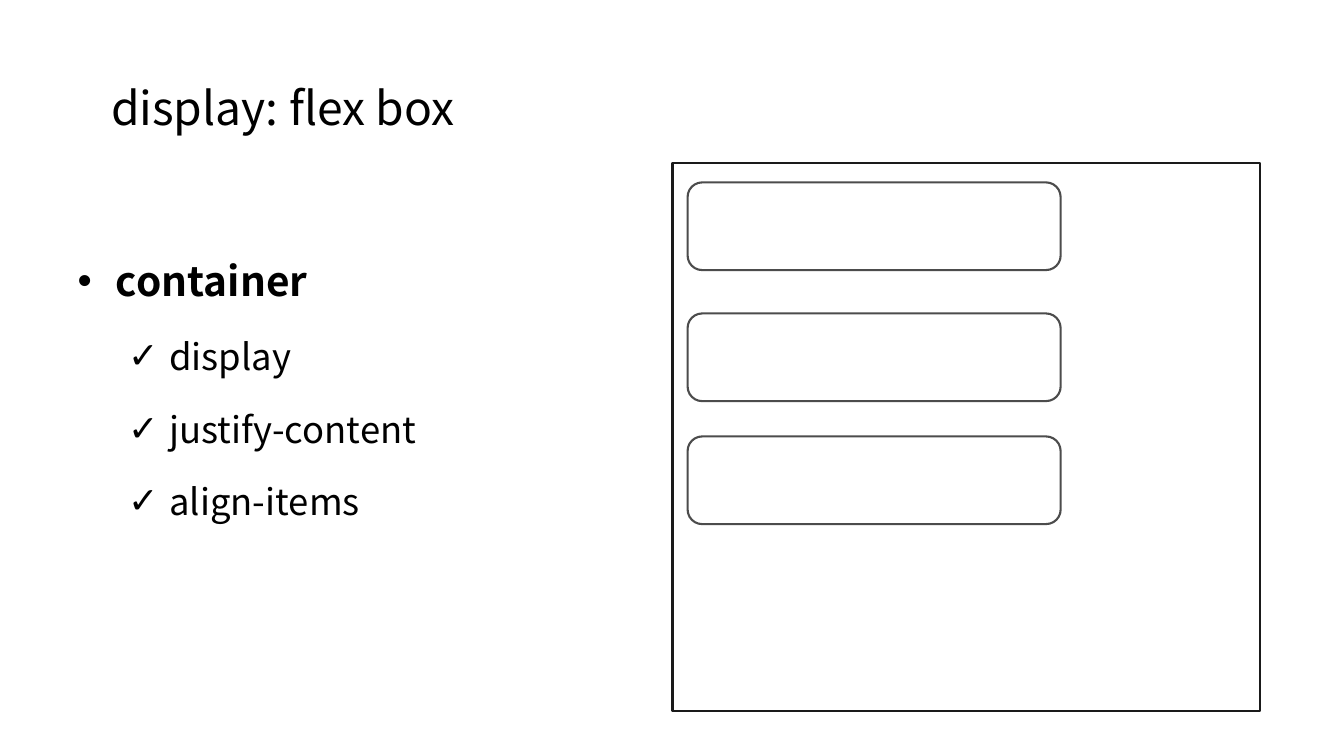
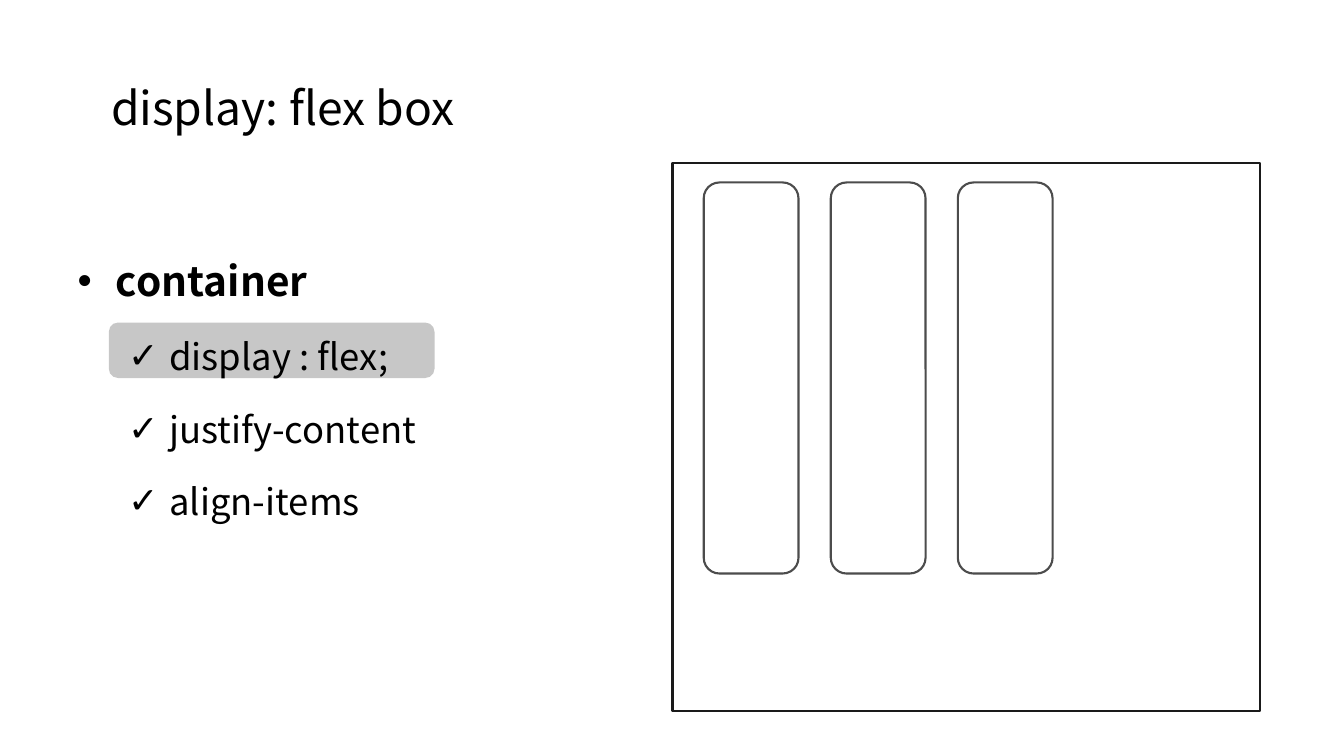
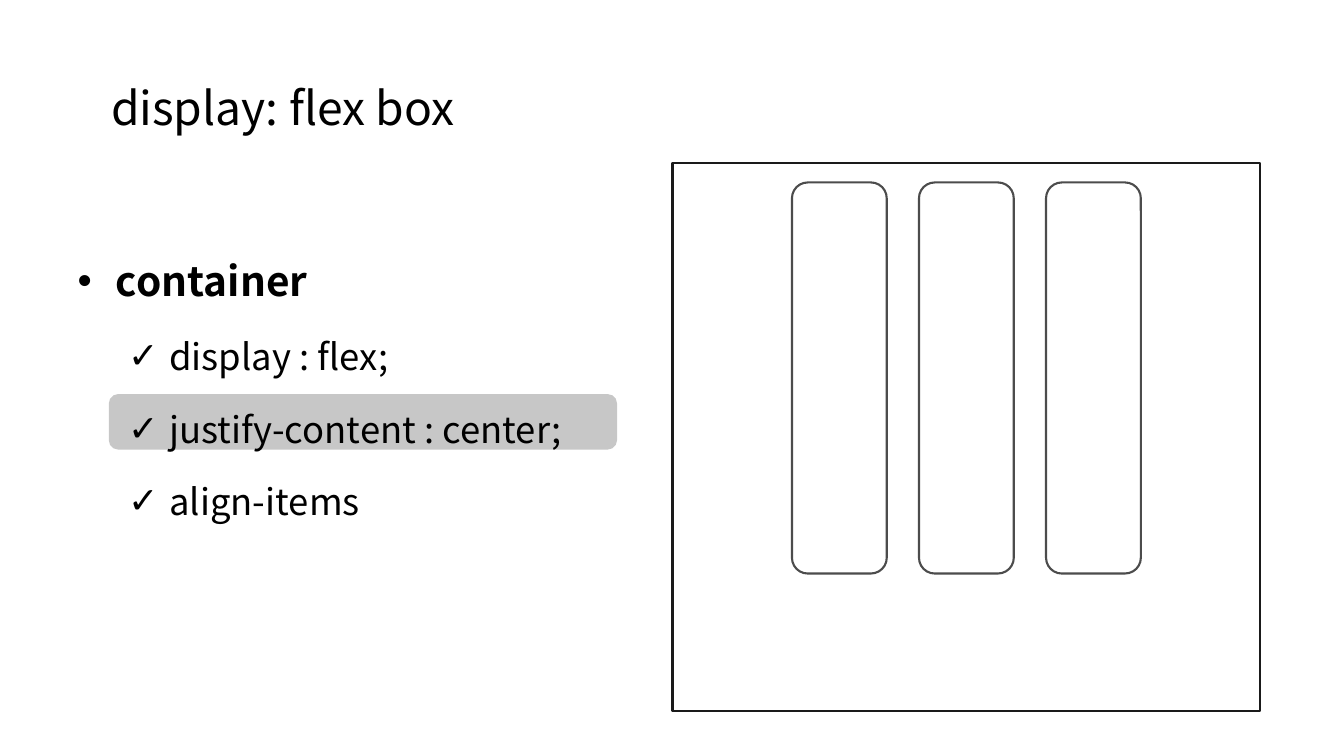
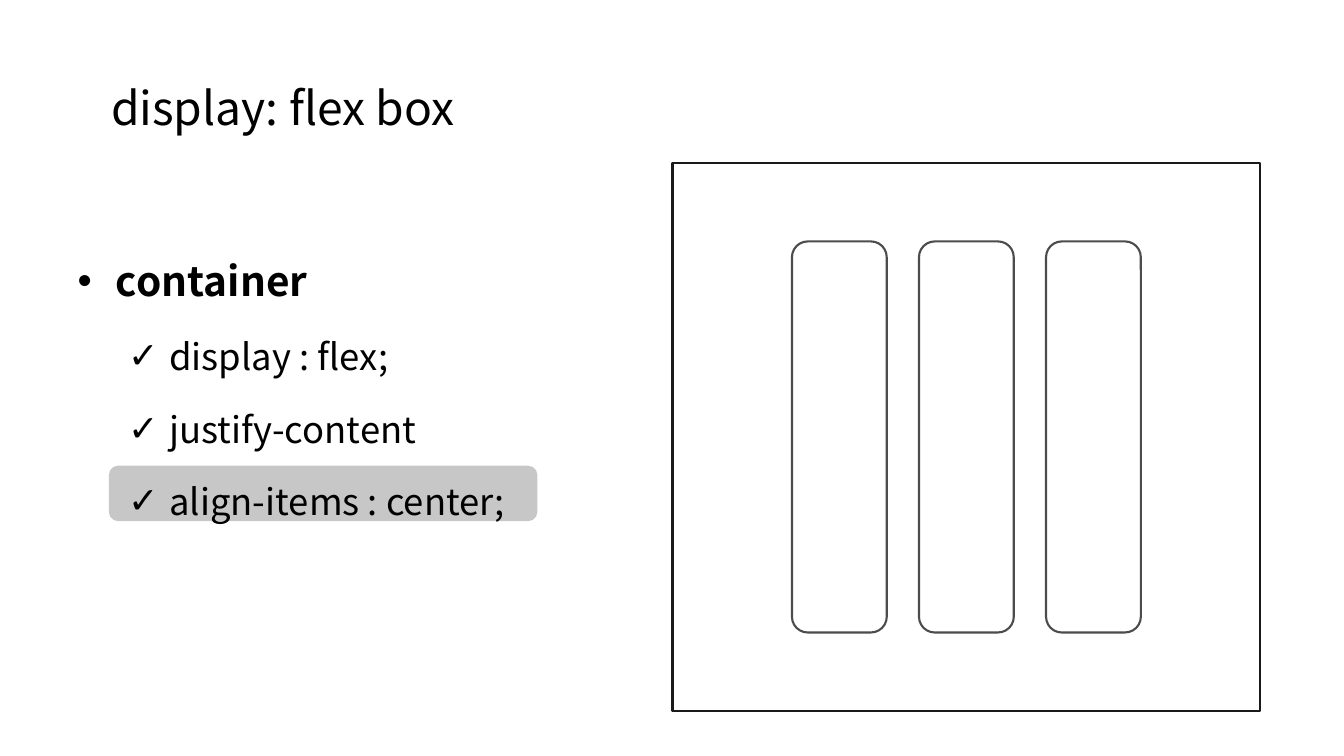
from lxml.etree import SubElement
from pptx import Presentation
from pptx.dml.color import RGBColor
from pptx.enum.shapes import MSO_SHAPE as SHAPE
from pptx.enum.text import MSO_AUTO_SIZE as AUTO_SIZE, PP_ALIGN as ALIGN
from pptx.oxml.ns import qn
from pptx.util import Inches, Pt

COLORS = {"text": "000000", "container": "1A1A1A", "item": "4C4C4C", "highlight": "808080"}
FONT = "Noto Sans CJK KR"

# Flex container and its items, in inches
BOX_LEFT, BOX_TOP, BOX_WIDTH, BOX_HEIGHT = 6.67, 1.62, 5.83, 5.43
ITEM_WIDTH, ITEM_HEIGHT, ITEM_STEP = 0.94, 3.88, 1.26
START_LEFT, START_TOP = 6.98, 1.81
CENTER_LEFT = BOX_LEFT + (BOX_WIDTH - ITEM_WIDTH - 2 * ITEM_STEP) / 2
CENTER_TOP = BOX_TOP + (BOX_HEIGHT - ITEM_HEIGHT) / 2


def columns(left, top):
    """Return the places of three items side by side."""
    return [(left + i * ITEM_STEP, top, ITEM_WIDTH, ITEM_HEIGHT) for i in range(3)]


def add_run(paragraph, text, size, bold=False):
    run = paragraph.add_run()
    run.text = text
    run.font.name = FONT
    run.font.size = Pt(size)
    run.font.bold = bold
    run.font.color.rgb = RGBColor.from_string(COLORS["text"])


# Properties, list width, highlighted row and its width, item places
STEPS = [
    (["display", "justify-content", "align-items"], 4.58, None, 0,
     [(6.82, top, 3.7, 0.87) for top in (1.81, 3.11, 4.33)]),
    (["display : flex;", "justify-content", "align-items"], 4.58, 0, 3.23,
     columns(START_LEFT, START_TOP)),
    (["display : flex;", "justify-content : center;", "align-items"], 5.45, 1, 5.04,
     columns(CENTER_LEFT, START_TOP)),
    (["display : flex;", "justify-content", "align-items : center;"], 5.45, 2, 4.25,
     columns(CENTER_LEFT, CENTER_TOP)),
]

prs = Presentation()
prs.slide_width, prs.slide_height = Inches(13.33), Inches(7.5)

for properties, list_width, marked_row, mark_width, items in STEPS:
    slide = prs.slides.add_slide(prs.slide_layouts[1])
    title, body = slide.placeholders

    title.left, title.top = Inches(0.67), Inches(0.6)
    title.width, title.height = Inches(4.27), Inches(0.93)
    title.text_frame.auto_size = AUTO_SIZE.NONE
    heading = title.text_frame.paragraphs[0]
    heading.alignment = ALIGN.CENTER
    add_run(heading, "display: flex box", 33)

    body.left, body.top = Inches(0.67), Inches(2.25)
    body.width, body.height = Inches(list_width), Inches(3.65)
    body.text_frame.auto_size = AUTO_SIZE.NONE
    for i, text in enumerate(["container"] + properties):
        if i == 0:
            line, level, margin, hanging, bullet = body.text_frame.paragraphs[0], 0, 0.38, 0.38, "•"
        else:
            line, level, margin, hanging, bullet = body.text_frame.add_paragraph(), 1, 0.91, 0.41, "✓"
        line.level = level
        line.line_spacing = 1.5
        pPr = line._p.get_or_add_pPr()
        pPr.set("marL", str(Inches(margin)))
        pPr.set("indent", str(-Inches(hanging)))
        SubElement(pPr, qn("a:buChar"), char=bullet)
        add_run(line, text, 26 if level else 29, bold=level == 0)

    if marked_row is not None:
        highlight = slide.shapes.add_shape(
            SHAPE.ROUNDED_RECTANGLE, Inches(1.08), Inches(3.2 + 0.71 * marked_row),
            Inches(mark_width), Inches(0.55))
        highlight.shadow.inherit = False
        highlight.line.fill.background()
        highlight.fill.solid()
        highlight.fill.fore_color.rgb = RGBColor.from_string(COLORS["highlight"])
        tint = highlight._element.spPr.find(".//" + qn("a:srgbClr"))
        SubElement(tint, qn("a:alpha"), val="44000")
        title._element.addprevious(highlight._element)

    outlines = [(SHAPE.RECTANGLE, "container", (BOX_LEFT, BOX_TOP, BOX_WIDTH, BOX_HEIGHT))]
    outlines += [(SHAPE.ROUNDED_RECTANGLE, "item", place) for place in items]
    for preset, color, place in outlines:
        outline = slide.shapes.add_shape(preset, *[Inches(length) for length in place])
        outline.shadow.inherit = False
        outline.fill.background()
        outline.line.color.rgb = RGBColor.from_string(COLORS[color])
        outline.line.width = Pt(1.5)

prs.save("out.pptx")
